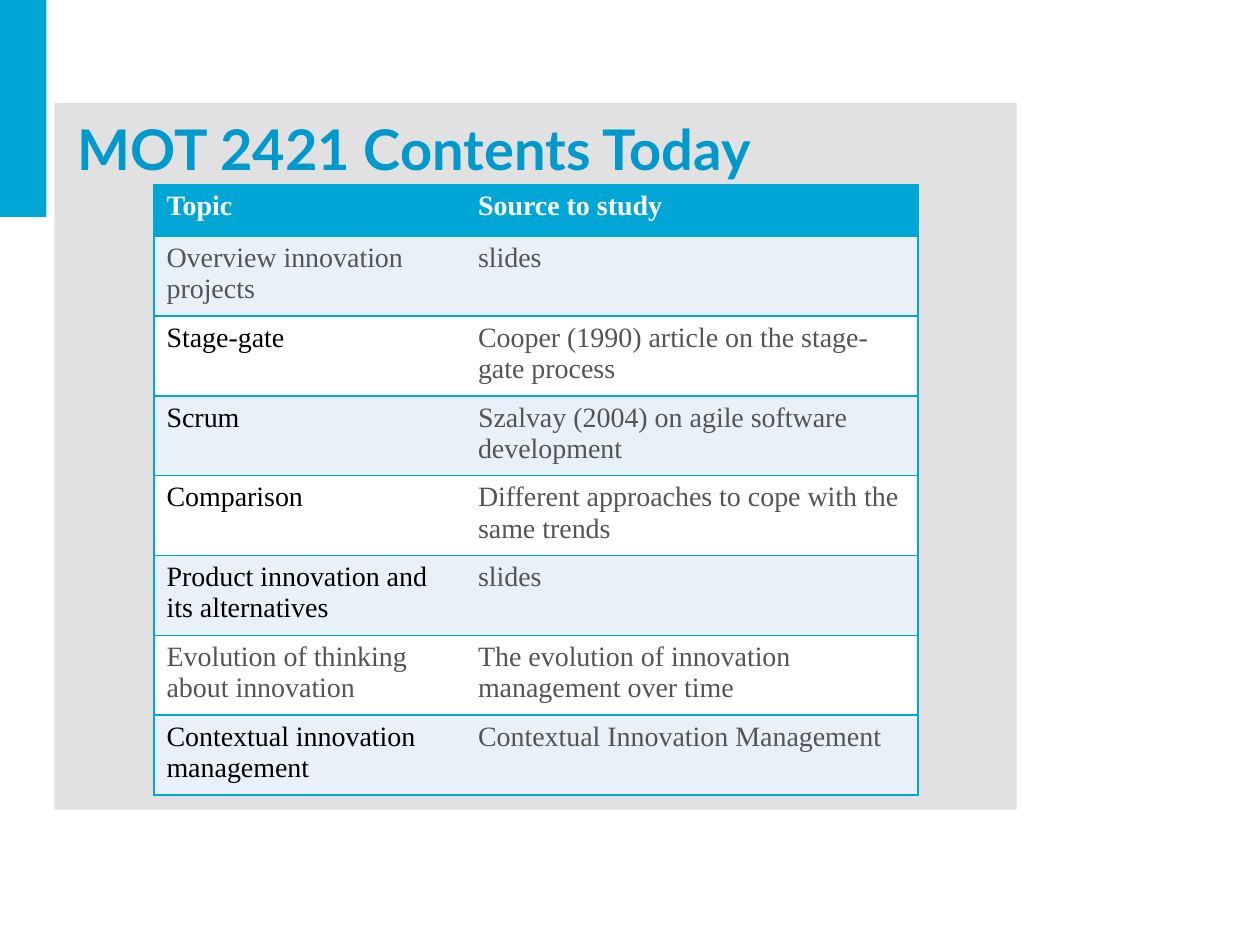
from typing import NamedTuple

from lxml.etree import SubElement
from pptx import Presentation
from pptx.dml.color import RGBColor
from pptx.enum.shapes import MSO_SHAPE
from pptx.enum.text import MSO_ANCHOR
from pptx.oxml.ns import qn
from pptx.util import Pt

COLORS = {
    "cyan": "00A6D6",
    "title": "0099CC",
    "panel": "DDDDDD",
    "band": "E7F1F7",
    "white": "FFFFFF",
    "black": "000000",
    "gray": "545454",
}
HEADER_FONT = {"name": "Times New Roman", "size": Pt(16), "bold": True}
BODY_FONT = {**HEADER_FONT, "bold": False}
TITLE_FONT = {"name": "Lato", "size": Pt(32), "bold": True}
COLUMN_WIDTHS = (178, 258.5)
ROW_HEIGHT = 29.5


class Box(NamedTuple):
    left: float
    top: float
    width: float
    height: float

    def lengths(self) -> list:
        return [Pt(value) for value in self]


class Panel(NamedTuple):
    box: Box
    color: str
    opacity: int = 100


class Topic(NamedTuple):
    name: str
    source: str
    name_color: str = "black"


PANELS = (
    Panel(Box(0, 0, 26.5, 124), "cyan"),
    Panel(Box(31, 58.75, 550, 404), "panel", 87),
)
TITLE_BOX = Box(37.5, 26, 648, 117.5)
TABLE_ORIGIN = (88, 105.5)
TOPICS = (
    Topic("Overview innovation projects", "slides", "gray"),
    Topic("Stage-gate", "Cooper (1990) article on the stage-gate process"),
    Topic("Scrum", "Szalvay (2004) on agile software development"),
    Topic("Comparison", "Different approaches to cope with the same trends"),
    Topic("Product innovation and its alternatives", "slides"),
    Topic("Evolution of thinking about innovation",
          "The evolution of innovation management over time", "gray"),
    Topic("Contextual innovation management", "Contextual Innovation Management"),
)


def rgb(color: str) -> RGBColor:
    return RGBColor.from_string(COLORS[color])


def write(frame, text: str, font_format: dict, color: str) -> None:
    run = frame.paragraphs[0].add_run()
    run.text = text
    for attribute, value in font_format.items():
        setattr(run.font, attribute, value)
    run.font.color.rgb = rgb(color)


def draw_panel(slide, panel: Panel) -> None:
    shape = slide.shapes.add_shape(MSO_SHAPE.RECTANGLE, *panel.box.lengths())
    shape.shadow.inherit = False
    shape.line.fill.background()
    shape.fill.solid()
    shape.fill.fore_color.rgb = rgb(panel.color)
    if panel.opacity < 100:
        color_element = shape.fill._xPr.find(qn("a:solidFill"))[0]
        SubElement(color_element, qn("a:alpha"), val=str(panel.opacity * 1000))


def draw_title(slide, text: str) -> None:
    frame = slide.shapes.add_textbox(*TITLE_BOX.lengths()).text_frame
    frame.word_wrap = True
    frame.vertical_anchor = MSO_ANCHOR.MIDDLE
    write(frame, text, TITLE_FONT, "title")


def add_borders(cell, open_side: str) -> None:
    """Line every side of the cell except the one facing the other column."""
    properties = cell._tc.get_or_add_tcPr()
    for side in ("L", "R", "T", "B"):
        line = SubElement(properties, qn(f"a:ln{side}"), w=str(Pt(1)))
        if side == open_side:
            SubElement(line, qn("a:noFill"))
        else:
            fill = SubElement(line, qn("a:solidFill"))
            SubElement(fill, qn("a:srgbClr"), val=COLORS["cyan"])


def fill_row(cells, texts: tuple, colors: tuple, background: str, font_format: dict) -> None:
    for cell, text, color, open_side in zip(cells, texts, colors, "RL"):
        add_borders(cell, open_side)
        cell.fill.solid()
        cell.fill.fore_color.rgb = rgb(background)
        write(cell.text_frame, text, font_format, color)


def draw_topics(slide) -> None:
    row_count = len(TOPICS) + 1
    box = Box(*TABLE_ORIGIN, sum(COLUMN_WIDTHS), row_count * ROW_HEIGHT)
    table = slide.shapes.add_table(row_count, len(COLUMN_WIDTHS), *box.lengths()).table
    for column, width in zip(table.columns, COLUMN_WIDTHS):
        column.width = Pt(width)
    header, *body = table.rows
    fill_row(header.cells, ("Topic", "Source to study"), ("white", "white"), "cyan", HEADER_FONT)
    for index, (row, topic) in enumerate(zip(body, TOPICS)):
        background = "white" if index % 2 else "band"
        fill_row(row.cells, (topic.name, topic.source), (topic.name_color, "gray"),
                 background, BODY_FONT)


def main() -> None:
    presentation = Presentation()
    presentation.slide_width, presentation.slide_height = Pt(720), Pt(540)
    slide = presentation.slides.add_slide(presentation.slide_layouts[6])
    for panel in PANELS:
        draw_panel(slide, panel)
    draw_title(slide, "MOT 2421 Contents Today")
    draw_topics(slide)
    presentation.save("out.pptx")


if __name__ == "__main__":
    main()
